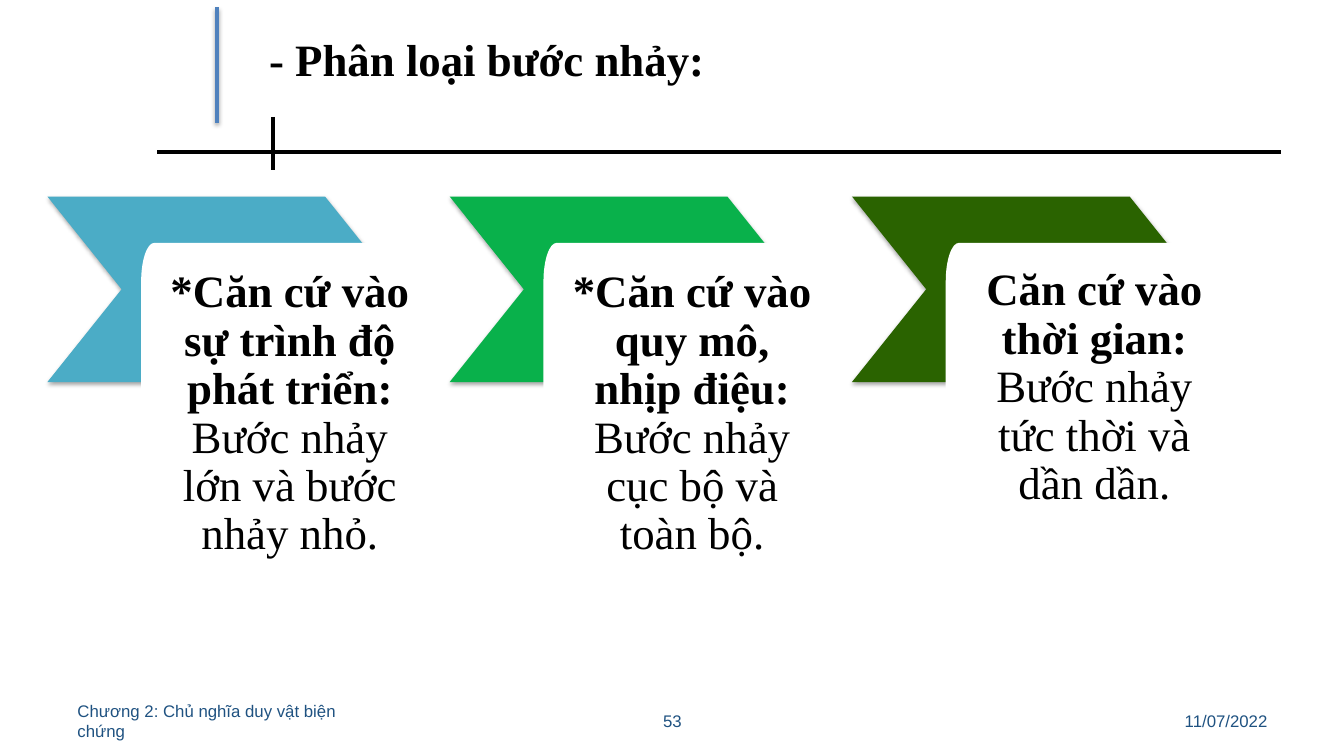
from lxml.etree import SubElement
from pptx import Presentation
from pptx.dml.color import RGBColor
from pptx.enum.shapes import MSO_CONNECTOR, MSO_SHAPE
from pptx.enum.text import MSO_ANCHOR, PP_ALIGN
from pptx.oxml.ns import qn
from pptx.util import Inches, Pt

# Content
HEADING = "- Phân loại bước nhảy:"
LEAPS = [  # basis, kinds, chevron colour, text inset
    ("*Căn cứ vào sự trình độ phát triển: ", "Bước nhảy lớn và bước nhảy nhỏ.", "4BACC6", 0.26),
    ("*Căn cứ vào quy mô, nhịp điệu: ", "Bước nhảy cục bộ và toàn bộ.", "09B14B", 0.26),
    ("Căn cứ vào thời gian: ", "Bước nhảy tức thời và dần dần.", "2A6300", 0.24),
]
FOOTER = [  # text, left, width, alignment
    ("11/07/2022", 9.56, 3.11, PP_ALIGN.RIGHT),
    ("Chương 2: Chủ nghĩa duy vật biện chứng", 0.67, 3.11, PP_ALIGN.LEFT),
    ("53", 4.56, 4.22, PP_ALIGN.CENTER),
]
RULES = [  # start, end, colour role, shadowed
    ((1.56, 1.51), (12.71, 1.51), "ink", False),
    ((2.71, 1.16), (2.71, 1.69), "ink", False),
    ((2.15, 0.07), (2.15, 1.22), "accent", True),
]

THEME = {
    "ink": "000000", "accent": "4F81BD", "footer": "1F5281", "card": "FFFFFF",
    "serif": "Times New Roman", "sans": "Arial",
    "body_size": 32, "footer_size": 12, "rule_width": 3,
}

# Grid of the three leaps
FIRST_LEFT, COLUMN_PITCH = 0.47, 3.99
CHEVRON_TOP, CHEVRON_W, CHEVRON_H = 1.95, 3.49, 1.84
CARD_DX, CARD_TOP, CARD_W, CARD_H = 0.93, 2.41, 2.95, 3.76
CORNER_RX, CORNER_RY, CORNER_PULL = 0.13, 0.38, 0.55


def color(value):
    return RGBColor.from_string(value)


def set_shadow(part, visible):
    effects = SubElement(part._element.spPr, qn("a:effectLst"))
    if visible:
        outer = SubElement(effects, qn("a:outerShdw"), blurRad=str(Pt(3.1)),
                           dist=str(Pt(1.8)), dir="5400000", rotWithShape="0")
        black = SubElement(outer, qn("a:srgbClr"), val=THEME["ink"])
        SubElement(black, qn("a:alpha"), val="35000")


def add_run(paragraph, text, size, face, ink, bold=False):
    run = paragraph.add_run()
    run.text = text
    run.font.size, run.font.name, run.font.bold = Pt(size), face, bold
    run.font.color.rgb = color(ink)


def add_rule(slide, start, end, role, shadowed):
    rule = slide.shapes.add_connector(
        MSO_CONNECTOR.STRAIGHT, *(Inches(v) for v in start + end))
    rule.line.color.rgb = color(THEME[role])
    rule.line.width = Pt(THEME["rule_width"])
    set_shadow(rule, shadowed)


def add_label(slide, left, top, width, height):
    label = slide.shapes.add_textbox(
        Inches(left), Inches(top), Inches(width), Inches(height))
    label.text_frame.word_wrap = True
    return label.text_frame


def round_corners(card):
    """Turn every other segment of the octagon into an elliptical corner."""
    points = list(card._element.spPr.iter(qn("a:pt")))
    spots = [(int(p.get("x")), int(p.get("y"))) for p in points]
    for index in range(1, len(points), 2):
        start, end = spots[index - 1], spots[index]
        upright = index % 4 == 1
        tip = (start[0], end[1]) if upright else (end[0], start[1])
        segment = points[index].getparent()
        segment.remove(points[index])
        curve = SubElement(segment.getparent(), qn("a:cubicBezTo"))
        segment.getparent().replace(segment, curve)
        pulled = [tuple(round(a + CORNER_PULL * (b - a)) for a, b in zip(anchor, tip))
                  for anchor in (start, end)]
        for x, y in pulled + [end]:
            SubElement(curve, qn("a:pt"), x=str(x), y=str(y))


def add_card(slide, left):
    right, bottom = left + CARD_W, CARD_TOP + CARD_H
    upper, lower = CARD_TOP + CORNER_RY, bottom - CORNER_RY
    inner_left, inner_right = left + CORNER_RX, right - CORNER_RX
    octagon = [
        (left, upper), (inner_left, CARD_TOP), (inner_right, CARD_TOP), (right, upper),
        (right, lower), (inner_right, bottom), (inner_left, bottom), (left, lower),
    ]
    start, *others = [(Inches(x), Inches(y)) for x, y in octagon]
    builder = slide.shapes.build_freeform(*start)
    builder.add_line_segments(others, close=True)
    card = builder.convert_to_shape()
    round_corners(card)
    card.fill.solid()
    card.fill.fore_color.rgb = color(THEME["card"])
    card.line.fill.background()
    card.shadow.inherit = False
    return card


def add_leap(slide, column, basis, kinds, fill, inset):
    left = FIRST_LEFT + column * COLUMN_PITCH
    chevron = slide.shapes.add_shape(
        MSO_SHAPE.CHEVRON, Inches(left), Inches(CHEVRON_TOP),
        Inches(CHEVRON_W), Inches(CHEVRON_H))
    chevron.adjustments[0] = 0.4
    chevron.fill.solid()
    chevron.fill.fore_color.rgb = color(fill)
    chevron.line.fill.background()
    set_shadow(chevron, True)

    frame = add_card(slide, left + CARD_DX).text_frame
    frame.word_wrap = True
    frame.vertical_anchor = MSO_ANCHOR.TOP
    frame.margin_left = frame.margin_right = Inches(inset)
    frame.margin_top = frame.margin_bottom = Inches(inset)
    paragraph = frame.paragraphs[0]
    paragraph.alignment = PP_ALIGN.CENTER
    paragraph.line_spacing = 0.9
    for text, bold in ((basis, True), (kinds, False)):
        add_run(paragraph, text, THEME["body_size"], THEME["serif"], THEME["ink"], bold)


def main():
    prs = Presentation()
    prs.slide_width, prs.slide_height = Inches(13.33), Inches(7.5)
    slide = prs.slides.add_slide(prs.slide_layouts[6])

    # Heading and rules
    for rule in RULES:
        add_rule(slide, *rule)
    heading = add_label(slide, 2.57, 0.27, 10.18, 0.64)
    add_run(heading.paragraphs[0], HEADING, THEME["body_size"],
            THEME["serif"], THEME["ink"], True)

    # Three kinds of leap
    for column, leap in enumerate(LEAPS):
        add_leap(slide, column, *leap)

    # Footer
    for text, left, width, alignment in FOOTER:
        frame = add_label(slide, left, 6.95, width, 0.4)
        frame.vertical_anchor = MSO_ANCHOR.MIDDLE
        frame.paragraphs[0].alignment = alignment
        add_run(frame.paragraphs[0], text, THEME["footer_size"],
                THEME["sans"], THEME["footer"])

    prs.save("out.pptx")


if __name__ == "__main__":
    main()
